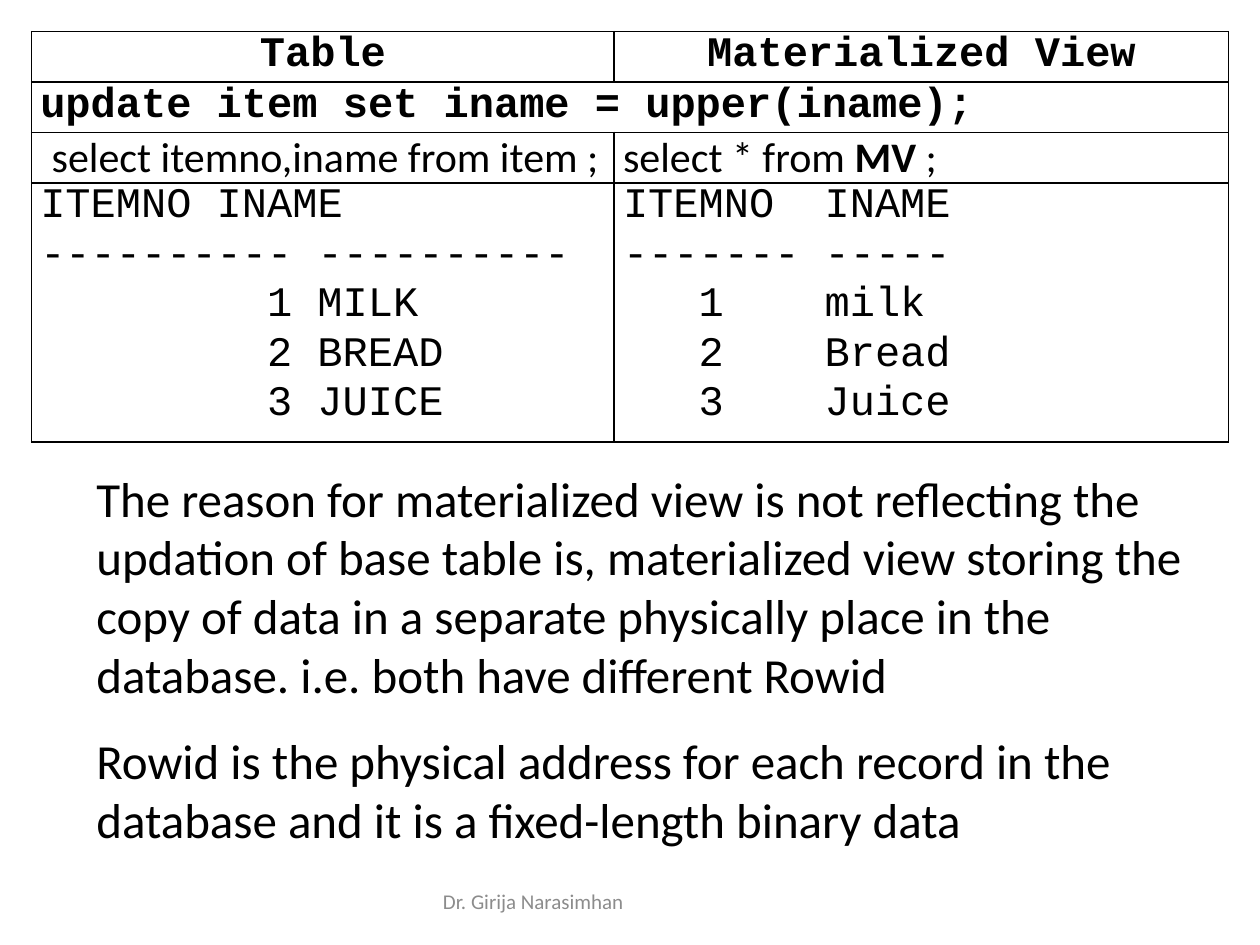
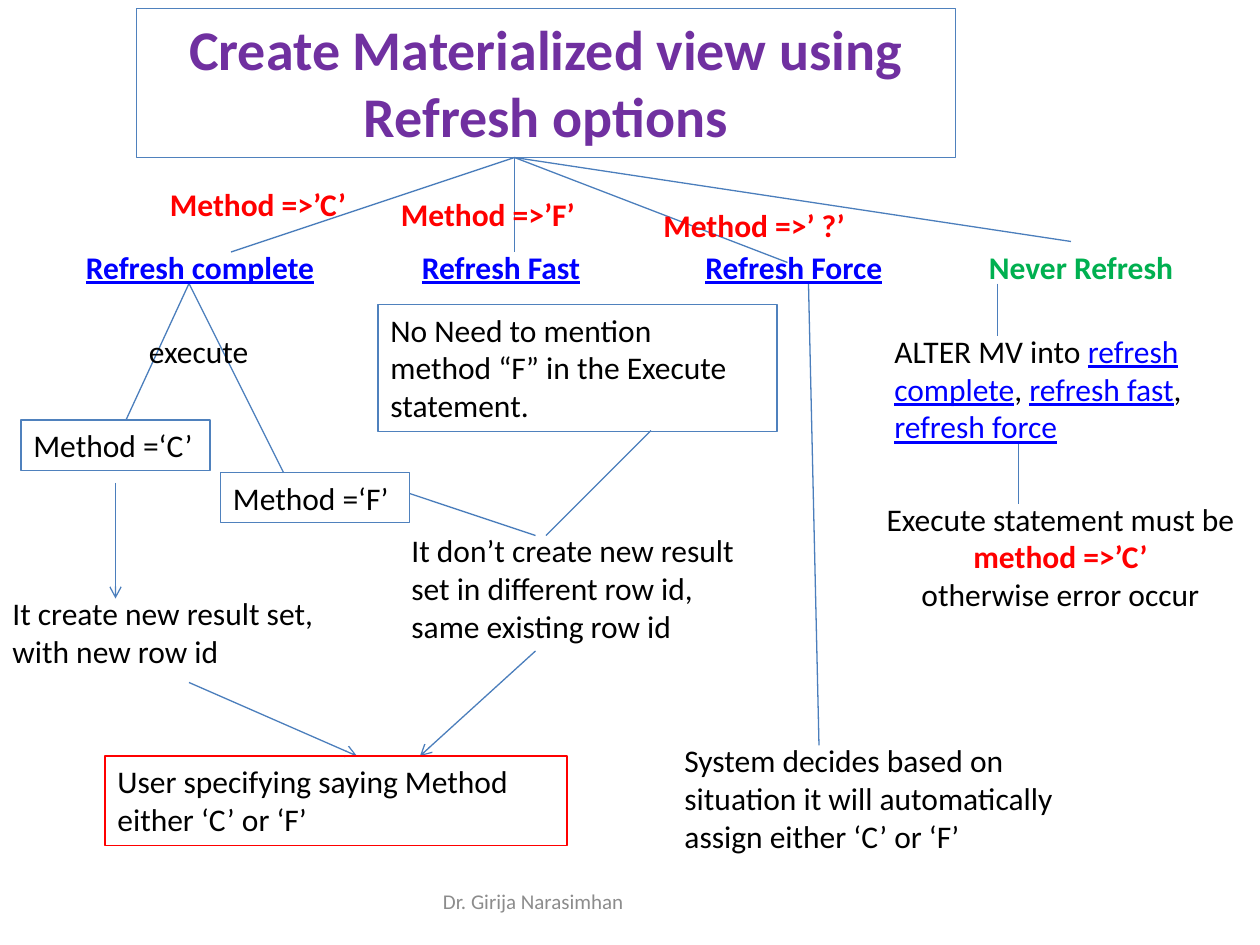
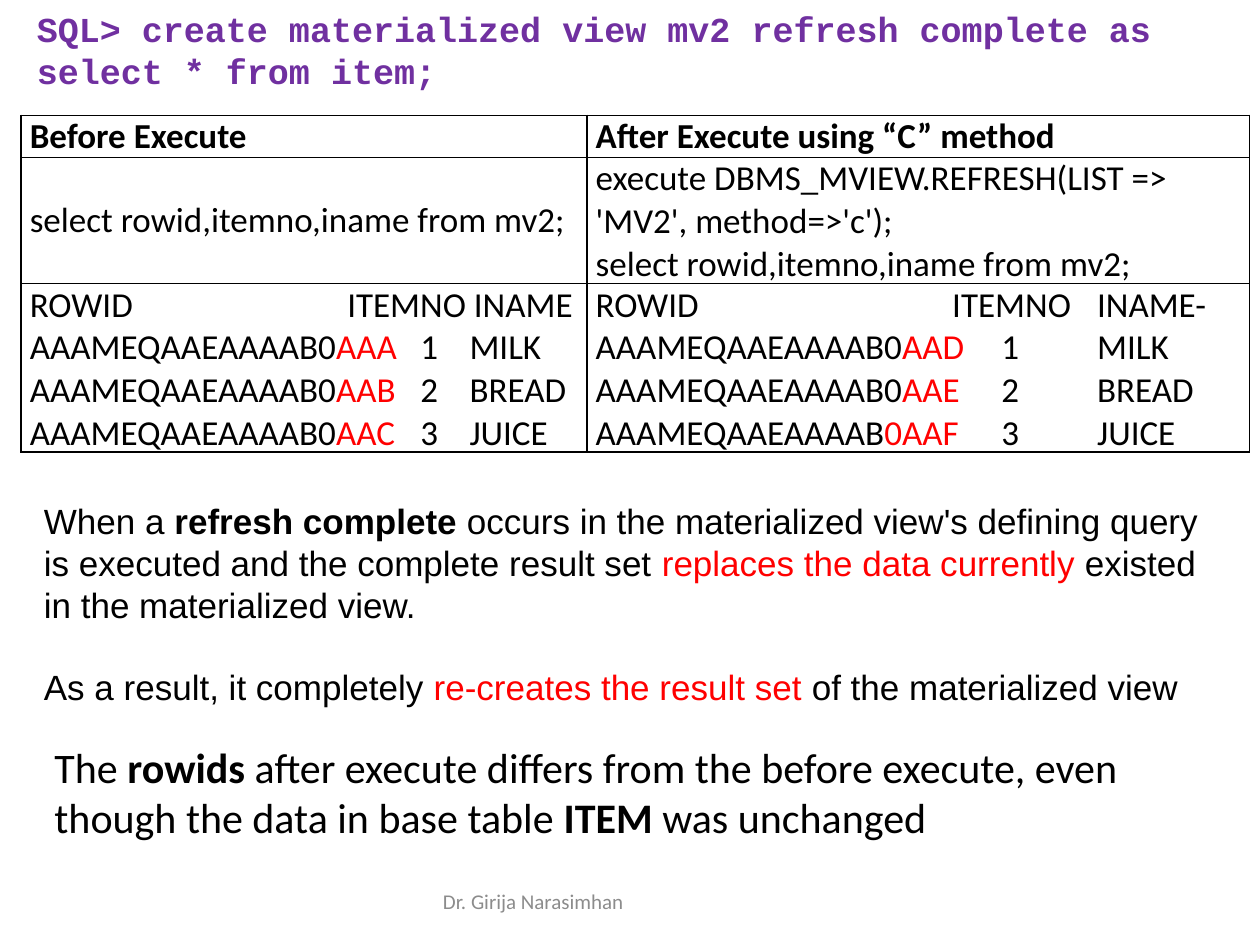
from lxml import etree
from pptx import Presentation
from pptx.dml.color import RGBColor
from pptx.enum.shapes import MSO_CONNECTOR
from pptx.enum.text import MSO_ANCHOR, MSO_AUTO_SIZE, PP_ALIGN
from pptx.oxml.ns import qn
from pptx.util import Inches, Pt

LEFT, CENTER = PP_ALIGN.LEFT, PP_ALIGN.CENTER
TOP, MIDDLE = MSO_ANCHOR.TOP, MSO_ANCHOR.MIDDLE
STRAIGHT = MSO_CONNECTOR.STRAIGHT
FIXED_SIZE = MSO_AUTO_SIZE.NONE

BLACK = RGBColor(0x00, 0x00, 0x00)
GRAY = RGBColor(0x8C, 0x8C, 0x8C)
RED = RGBColor(0xFF, 0x00, 0x00)
GREEN = RGBColor(0x00, 0xB0, 0x50)
PURPLE = RGBColor(0x70, 0x30, 0xA0)
LINK_BLUE = RGBColor(0x00, 0x00, 0xFF)
BOX_BLUE = RGBColor(0x4F, 0x81, 0xBD)
LINE_BLUE = RGBColor(0x4B, 0x7E, 0xBC)

SANS, BODY, CODE = "Arial", "Calibri", "Courier New"
TITLE_ONLY, BLANK = 5, 6
COLUMNS, ROWS = 120, 90
BOLD = {"bold": True}
RED_RUN = {"colour": RED}
LINK_RUN = {"colour": LINK_BLUE, "underline": True}


def grid(units):
    """Turn grid units, twelve to the inch, into a length."""
    return Inches(units / 12)


def format_run(r, size=18, font=BODY, colour=BLACK, bold=False, underline=False):
    """Set the look of one run."""
    r.font.size, r.font.name = Pt(size), font
    r.font.bold, r.font.underline = bold, underline
    r.font.color.rgb = colour


def add_tabs(p, stops):
    """Add left tab stops, given in inches, to a paragraph."""
    tabs = etree.SubElement(p._p.get_or_add_pPr(), qn("a:tabLst"))
    for stop in stops:
        etree.SubElement(tabs, qn("a:tab"), pos=str(Inches(stop)), algn="l")


def write(tf, paragraphs, align=LEFT, tabs=(), gap=0, **look):
    """Fill a frame with paragraphs, each a string or a list of (text, changes)."""
    tf.word_wrap = True
    for i, content in enumerate(paragraphs):
        p = tf.paragraphs[0] if i == 0 else tf.add_paragraph()
        if tabs:
            add_tabs(p, tabs)
        p.alignment = align
        if i and gap:
            p.space_before = Pt(gap)
        if isinstance(content, str):
            p.text = content
            for r in p.runs:
                format_run(r, **look)
            continue
        for text, changes in content:
            r = p.add_run()
            r.text = text
            format_run(r, **{**look, **changes})


def add_text(s, place, paragraphs, outline=None, anchor=TOP, **look):
    """Add a text box at a grid place, with an optional outline."""
    sp = s.shapes.add_textbox(*map(grid, place))
    sp.text_frame.vertical_anchor = anchor
    if outline is not None:
        sp.line.color.rgb, sp.line.width = outline, Pt(0.75)
    write(sp.text_frame, paragraphs, **look)


def set_title(s, place, text, outline=None, anchor=TOP, inset=None, **look):
    """Place and format the title of a slide."""
    title = s.shapes.title
    title.left, title.top, title.width, title.height = map(grid, place)
    tf = title.text_frame
    tf.auto_size, tf.vertical_anchor = FIXED_SIZE, anchor
    if inset is not None:
        tf.margin_left = tf.margin_right = tf.margin_top = tf.margin_bottom = inset
    if outline is not None:
        title.line.color.rgb, title.line.width = outline, Pt(0.75)
    write(tf, [text], colour=PURPLE, bold=True, **look)


def add_line(s, start, end, arrow=False):
    """Draw a straight line between two grid points."""
    line = s.shapes.add_connector(STRAIGHT, *map(grid, start + end))
    line.line.color.rgb, line.line.width = LINE_BLUE, Pt(0.75)
    props = line._element.spPr
    if arrow:
        etree.SubElement(props.find(qn("a:ln")), qn("a:tailEnd"), type="arrow")
    etree.SubElement(props, qn("a:effectLst"))


def border_cell(cell):
    """Give a cell thin black borders and no fill."""
    cell.fill.background()
    props = cell._tc.get_or_add_tcPr()
    for i, side in enumerate(("lnL", "lnR", "lnT", "lnB")):
        ln = etree.Element(qn(f"a:{side}"), w=str(Pt(1)))
        fill = etree.SubElement(ln, qn("a:solidFill"))
        etree.SubElement(fill, qn("a:srgbClr"), val=str(BLACK))
        props.insert(i, ln)


def add_grid_table(s, left, top, widths, heights):
    """Add a plain bordered table sized by its column widths and row heights."""
    place = map(grid, (left, top, sum(widths), sum(heights)))
    table = s.shapes.add_table(len(heights), len(widths), *place).table
    table.first_row = table.horz_banding = False
    for column, width in zip(table.columns, widths):
        column.width = grid(width)
    for row, height in zip(table.rows, heights):
        row.height = grid(height)
    for cell in table.iter_cells():
        cell.margin_left = cell.margin_right = Inches(0.07)
        cell.margin_top = cell.margin_bottom = 0
        border_cell(cell)
    return table


def add_slide(prs, layout):
    """Add a slide with the author's footer."""
    s = prs.slides.add_slide(prs.slide_layouts[layout])
    add_text(s, (41, 83.4, 38, 4.8), ["Dr. Girija Narasimhan"],
             anchor=MIDDLE, size=12, colour=GRAY)
    return s


def build_update_slide(prs):
    """Compare the base table with the view after an update."""
    s = add_slide(prs, BLANK)
    add_text(s, (8, 44, 108, 24), [
        "The reason for materialized view is not reflecting the updation of base table is, "
        "materialized view storing the copy of data in a separate physically place in the "
        "database. i.e. both have different Rowid"], size=28)
    add_text(s, (8, 69, 106, 12.5), [
        "Rowid is the physical address for each record in the database and it is a "
        "fixed-length binary data"], size=28)

    table = add_grid_table(s, 3, 3, (55.5, 58.5), (4.8, 4.8, 4.8, 24))
    table.cell(1, 0).merge(table.cell(1, 1))
    code = {"size": 24, "font": CODE}
    for column, heading in enumerate(("Table", "Materialized View")):
        write(table.cell(0, column).text_frame, [heading], align=CENTER, bold=True, **code)
    write(table.cell(1, 0).text_frame, ["update item set iname = upper(iname);"],
          bold=True, **code)
    query = table.cell(2, 0)
    query.margin_left = Inches(0.16)
    write(query.text_frame, ["select itemno,iname from item ;"], size=24)
    write(table.cell(2, 1).text_frame,
          [[("select * from ", {}), ("MV", BOLD), (" ;", {})]], size=24)
    write(table.cell(3, 0).text_frame,
          ["ITEMNO INAME", "---------- ----------",
           "\t1 MILK", "\t2 BREAD", "\t3 JUICE"], tabs=(1.8,), gap=1, **code)
    write(table.cell(3, 1).text_frame,
          ["ITEMNO\tINAME", "-------\t-----",
           "\t1\tmilk", "\t2\tBread", "\t3\tJuice"], tabs=(0.6, 1.6), gap=1, **code)


def build_refresh_slide(prs):
    """Draw the tree of refresh options."""
    s = add_slide(prs, TITLE_ONLY)
    set_title(s, (13, 0.8, 78, 14.2), "Create Materialized view using Refresh options",
              outline=BOX_BLUE, align=CENTER, size=32)

    root, complete = (49, 15), (18, 27)
    lines = [
        (root, (22, 24)), (root, (49, 24)), (root, (75, 25)), (root, (102, 23)),
        (complete, (12, 40)), (complete, (27, 45)),
        ((39, 47), (51, 51)), ((62, 41), (52, 51)), ((77, 27), (78, 71)),
        ((95, 27), (95, 32)), ((97, 42), (97, 48)),
    ]
    arrows = [((11, 46), (11, 57)), ((51, 62), (40, 72)), ((18, 65), (34, 72))]
    for start, end in lines:
        add_line(s, start, end)
    for start, end in arrows:
        add_line(s, start, end, arrow=True)

    for left, option in ((7, "complete"), (39, "Fast"), (66, "Force")):
        add_text(s, (left, 23, 31, 4.8), [f"Refresh {option}"], bold=True, **LINK_RUN)
    add_text(s, (93, 23, 31, 4.8), ["Never Refresh"], colour=GREEN, bold=True)
    for left, top, method in ((15, 17, "C"), (37, 18, "F"), (62, 19, " ?")):
        add_text(s, (left, top, 24, 4.8), [f"Method =>’{method}’"], colour=RED, bold=True)

    boxes = [
        ((2, 40, 18, 4.8), "Method =‘C’", BOX_BLUE),
        ((21, 45, 18, 4.8), "Method =‘F’", BOX_BLUE),
        ((36, 29, 38, 12.1),
         "No Need to mention\vmethod “F” in the Execute statement.", BOX_BLUE),
        ((10, 72, 44, 8.5), "User specifying saying Method either ‘C’ or ‘F’", RED),
        ((13, 31, 26, 4.8), "execute", None),
        ((0, 56, 32, 8.5), "It create new result set, with new row id", None),
        ((38, 50, 34, 12.1),
         "It don’t create new result set in different row id, same existing row id", None),
        ((64, 70, 38, 12.1),
         "System decides based on situation it will automatically assign either ‘C’ or ‘F’",
         None),
    ]
    for place, text, outline in boxes:
        add_text(s, place, [text], outline=outline)
    add_text(s, (84, 31, 30, 12.1), [[
        ("ALTER MV into ", {}), ("refresh complete", LINK_RUN), (", ", {}),
        ("refresh fast", LINK_RUN), (", ", {}), ("refresh force", LINK_RUN)]])
    add_text(s, (82, 47, 38, 12.1), [
        "Execute statement must be", [("method =>’C’", {**RED_RUN, **BOLD})],
        "otherwise error occur"], align=CENTER)


def rowid_lines(header, records):
    """List the query result, with the changing end of each rowid in red."""
    return [header] + [
        [(start, {}), (end, RED_RUN), (f"\t{number}\t{name}", {})]
        for number, (name, start, end) in enumerate(records, 1)]


def build_complete_slide(prs):
    """Show the rowids before and after a complete refresh."""
    s = add_slide(prs, TITLE_ONLY)
    set_title(s, (3.5, 0.7, 108, 8),
              "SQL> create materialized view mv2 refresh complete as select * from item;",
              anchor=MIDDLE, inset=0, size=20, font=CODE)
    add_text(s, (3, 47, 115, 21.4), [
        [("When a ", {}), ("refresh complete ", BOLD),
         ("occurs in the materialized view's defining query is executed and the "
          "complete result set ", {}),
         ("replaces the data currently ", RED_RUN),
         ("existed in the materialized view.", {})],
        [("As a result, it completely ", {}), ("re-creates the result set ", RED_RUN),
         ("of the materialized view", {})]], gap=23, size=20, font=SANS)

    table = add_grid_table(s, 2, 11, (53.9, 63.1), (4, 12, 16))
    for column, heading in enumerate(("Before Execute", "After Execute using “C” method")):
        write(table.cell(0, column).text_frame, [heading], size=20, bold=True)
    query = "select rowid,itemno,iname from mv2;"
    table.cell(1, 0).vertical_anchor = MIDDLE
    write(table.cell(1, 0).text_frame, [query], size=20)
    write(table.cell(1, 1).text_frame,
          ["execute DBMS_MVIEW.REFRESH(LIST => 'MV2', method=>'c');", query], size=20)
    rowid = "AAAMEQAAEAAAAB"
    before = [("MILK", rowid + "0", "AAA"), ("BREAD", rowid + "0", "AAB"),
              ("JUICE", rowid + "0", "AAC")]
    after = [("MILK", rowid + "0", "AAD"), ("BREAD", rowid + "0", "AAE"),
             ("JUICE", rowid, "0AAF")]
    write(table.cell(2, 0).text_frame, rowid_lines("ROWID\tITEMNO INAME", before),
          tabs=(2.52, 3.1, 3.49), size=20)
    write(table.cell(2, 1).text_frame, rowid_lines("ROWID\tITEMNO\tINAME-", after),
          tabs=(2.83, 3.22, 3.98), size=20)

    add_text(s, (4, 70, 110, 10.9), [[
        ("The ", {}), ("rowids", BOLD),
        (" after execute differs from the before execute, even though the data in "
         "base table ", {}), ("ITEM", BOLD), (" was unchanged", {})]], size=24)


def main():
    """Build the three slides and save them."""
    prs = Presentation()
    prs.slide_width, prs.slide_height = grid(COLUMNS), grid(ROWS)
    build_update_slide(prs)
    build_refresh_slide(prs)
    build_complete_slide(prs)
    prs.save("out.pptx")


if __name__ == "__main__":
    main()
